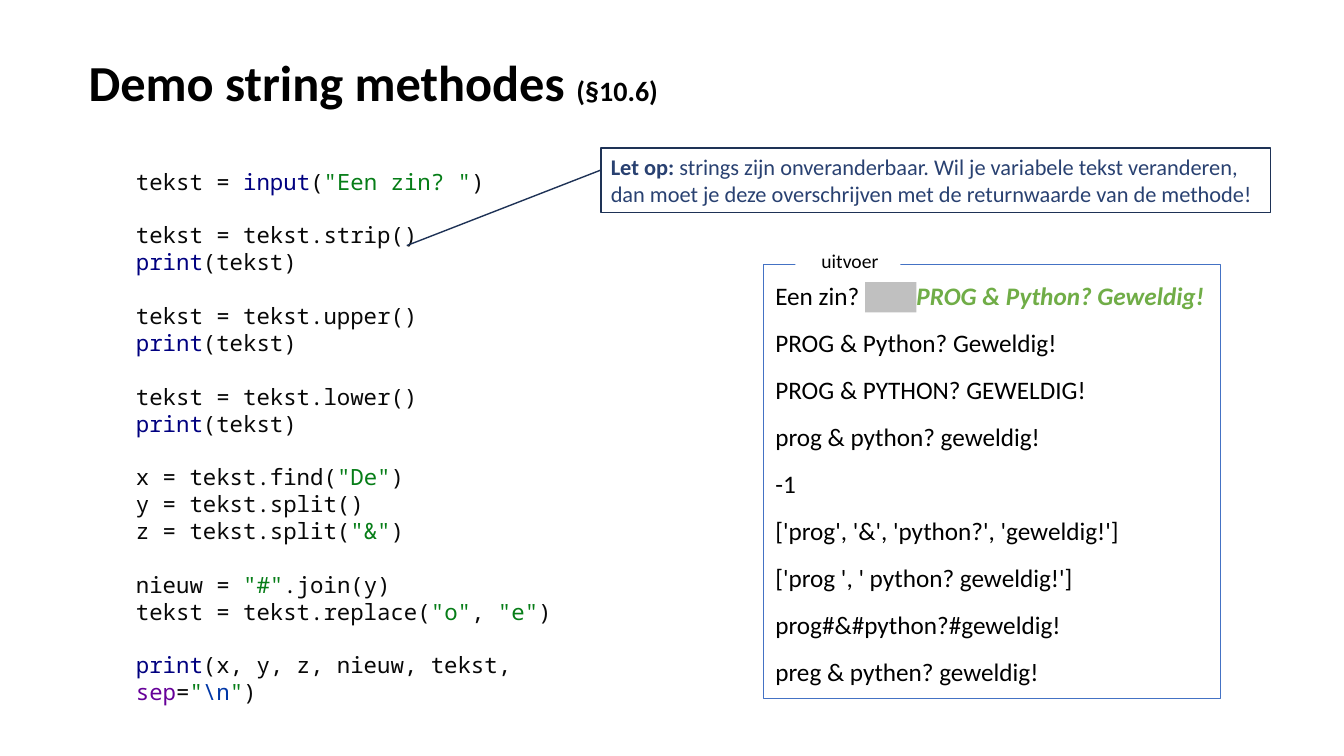
"""Build the slide on Python string methods with code, callout and output."""
from pptx import Presentation
from pptx.dml.color import RGBColor
from pptx.enum.shapes import MSO_SHAPE
from pptx.enum.text import MSO_ANCHOR, PP_ALIGN
from pptx.oxml.ns import qn
from pptx.util import Inches, Pt
from lxml import etree

RECTANGLE = MSO_SHAPE.RECTANGLE
CALLOUT = MSO_SHAPE.LINE_CALLOUT_1
TOP, MIDDLE = MSO_ANCHOR.TOP, MSO_ANCHOR.MIDDLE
LEFT, CENTER = PP_ALIGN.LEFT, PP_ALIGN.CENTER

COLORS = {
    "black": "000000", "white": "FFFFFF", "gray": "C0C0C0", "green": "70AD47",
    "frame": "4472C4", "note": "294171", "note_line": "1E3256",
    "code": "080808", "builtin": "000080", "string": "067D17",
    "argument": "660099", "escape": "0037A6",
}


def add_run(paragraph, text, size=18, color="black", font="Calibri", bold=False, italic=False):
    run = paragraph.add_run()
    run.text = text
    run.font.size = Pt(size)
    run.font.name = font
    run.font.bold = bold
    run.font.italic = italic
    run.font.color.rgb = RGBColor.from_string(COLORS[color])


def add_box(kind, place, fill=None, line=None, width=0.75, anchor=TOP, insets=(0.1, 0.05, 0.1, 0.05)):
    box = slide.shapes.add_shape(kind, *map(Inches, place))
    box.shadow.inherit = False
    if fill:
        box.fill.solid()
        box.fill.fore_color.rgb = RGBColor.from_string(COLORS[fill])
    else:
        box.fill.background()
    if line:
        box.line.color.rgb = RGBColor.from_string(COLORS[line])
        box.line.width = Pt(width)
    else:
        box.line.fill.background()
    frame = box.text_frame
    frame.word_wrap = True
    frame.vertical_anchor = anchor
    frame.margin_left, frame.margin_top, frame.margin_right, frame.margin_bottom = map(Inches, insets)
    frame.paragraphs[0].alignment = LEFT
    return box


presentation = Presentation()
presentation.slide_width = Inches(13.33)
presentation.slide_height = Inches(7.5)
slide = presentation.slides.add_slide(presentation.slide_layouts[6])

title = slide.shapes.add_textbox(Inches(0.78), Inches(0), Inches(8.5), Inches(1.61)).text_frame
title.word_wrap = True
title.vertical_anchor = MIDDLE
add_run(title.paragraphs[0], "Demo string methodes ", size=36, bold=True)
add_run(title.paragraphs[0], "(§10.6)", size=20, bold=True)

output = add_box(RECTANGLE, (7.57, 2.62, 4.54, 4.31), fill="white", line="frame",
                 insets=(0.12, 0.16, 0.12, 0.08)).text_frame
prompt = output.paragraphs[0]
tab_stops = etree.SubElement(prompt._p.get_or_add_pPr(), qn("a:tabLst"))
etree.SubElement(tab_stops, qn("a:tab"), pos=str(Inches(1.4)), algn="l")
add_run(prompt, "Een zin?\t")
add_run(prompt, "PROG & Python? Geweldig!", color="green", bold=True, italic=True)
for result in (
    "PROG & Python? Geweldig!",
    "PROG & PYTHON? GEWELDIG!",
    "prog & python? geweldig!",
    "-1",
    "['prog', '&', 'python?', 'geweldig!']",
    "['prog ', ' python? geweldig!']",
    "prog#&#python?#geweldig!",
    "preg & pythen? geweldig!",
):
    paragraph = output.add_paragraph()
    paragraph.alignment = LEFT
    paragraph.space_before = Pt(12)
    add_run(paragraph, result)
add_box(RECTANGLE, (8.58, 2.8, 0.51, 0.3), fill="gray")

output_label = add_box(RECTANGLE, (7.89, 2.47, 1.04, 0.24), fill="white", insets=(0.04, 0, 0, 0))
output_label.text_frame.paragraphs[0].alignment = CENTER
add_run(output_label.text_frame.paragraphs[0], "uitvoer", size=14)

print_line = [("print", "builtin"), ("(tekst)", "code")]
code_blocks = [
    [[("tekst = ", "code"), ("input", "builtin"), ("(", "code"),
      ('"Een zin? "', "string"), (")", "code")]],
    [[("tekst = tekst.strip()", "code")], print_line],
    [[("tekst = tekst.upper()", "code")], print_line],
    [[("tekst = tekst.lower()", "code")], print_line],
    [[("x = tekst.find(", "code"), ('"De"', "string"), (")", "code")],
     [("y = tekst.split()", "code")],
     [("z = tekst.split(", "code"), ('"&"', "string"), (")", "code")]],
    [[("nieuw = ", "code"), ('"#"', "string"), (".join(y)", "code")],
     [("tekst = tekst.replace(", "code"), ('"o"', "string"), (", ", "code"),
      ('"e"', "string"), (")", "code")]],
    [[("print", "builtin"), ("(x, y, z, nieuw, tekst, ", "code"), ("sep", "argument"),
      ("=", "code"), ('"', "string"), ("\\n", "escape"), ('"', "string"), (")", "code")]],
]
code = add_box(RECTANGLE, (1.25, 1.72, 4.87, 5.22), fill="white", anchor=MIDDLE).text_frame
for block_number, block in enumerate(code_blocks):
    for line_number, tokens in enumerate(block):
        first = block_number == line_number == 0
        paragraph = code.paragraphs[0] if first else code.add_paragraph()
        paragraph.alignment = LEFT
        if block_number and line_number == 0:
            paragraph.space_before = Pt(19.2)
        for token, color in tokens:
            add_run(paragraph, token, size=16, color=color, font="Noto Sans Mono")

note = add_box(CALLOUT, (5.96, 1.47, 6.64, 0.64), line="note_line", width=1, anchor=MIDDLE)
for index, adjustment in enumerate((0.34, 0, 1.51, -0.29)):
    note.adjustments[index] = adjustment
warning = note.text_frame.paragraphs[0]
add_run(warning, "Let op: ", size=16, color="note", bold=True)
add_run(warning, "strings zijn onveranderbaar. Wil je variabele tekst veranderen, "
        "dan moet je deze overschrijven met de returnwaarde van de methode!", size=16, color="note")

presentation.save("out.pptx")
